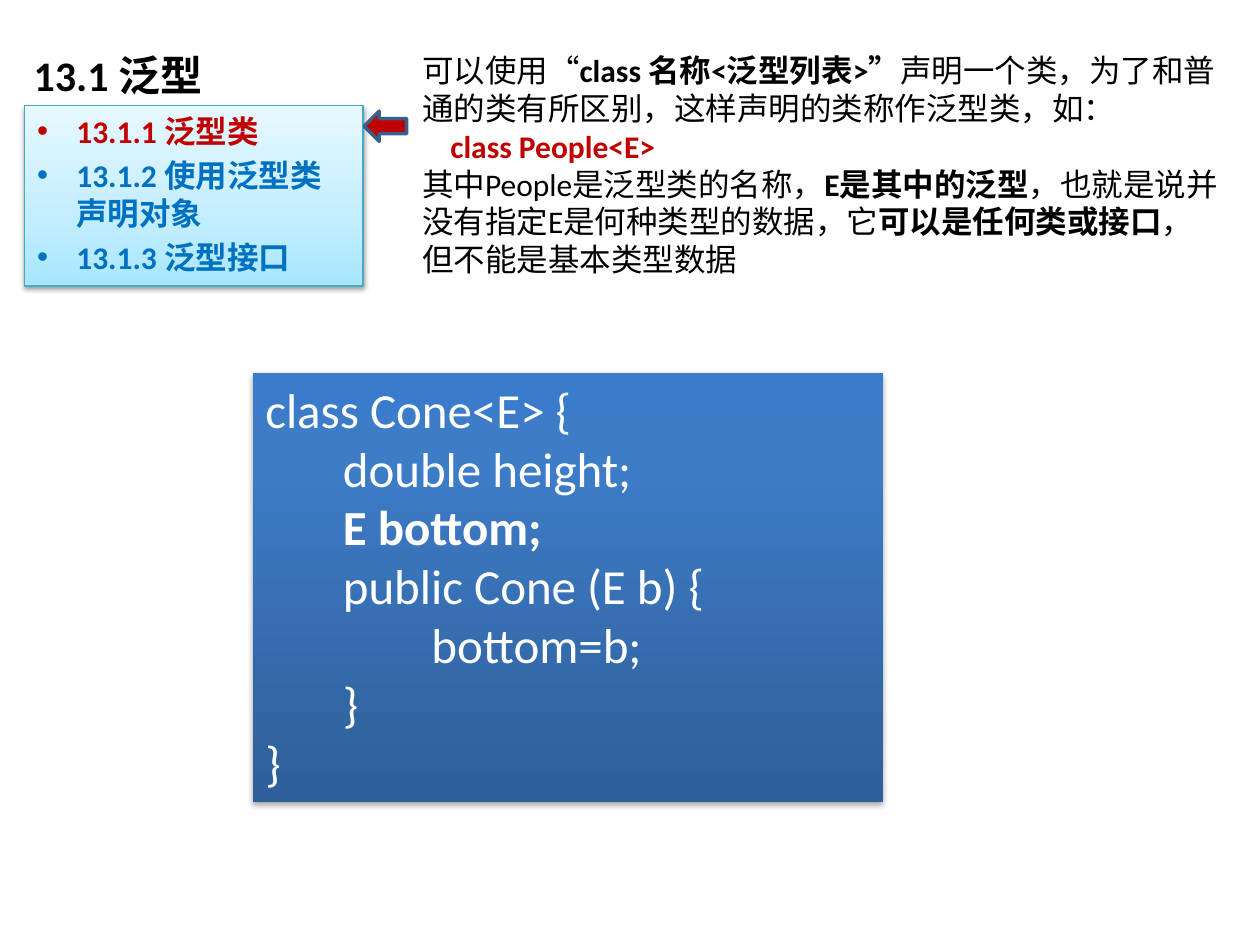
from dataclasses import dataclass
from typing import Optional

from lxml.etree import SubElement
from pptx import Presentation
from pptx.dml.color import RGBColor
from pptx.enum.shapes import MSO_SHAPE as Preset
from pptx.enum.text import MSO_ANCHOR as Anchor, PP_ALIGN as Align
from pptx.oxml.ns import qn
from pptx.util import Cm, Pt

FONT = "Calibri"
BLACK, WHITE, RED, BLUE = "000000", "FFFFFF", "C00000", "0070C0"


@dataclass
class Span:
    text: str
    bold: bool = False
    color: str = BLACK


@dataclass
class Para:
    spans: list[Span]
    indent: float = 0
    bullet: bool = False
    before: float = 0


@dataclass
class Frame:
    left: float
    top: float
    width: float
    height: float


@dataclass
class Shadow:
    alpha: int
    blur: float
    distance: float


def rgb(value: str) -> RGBColor:
    return RGBColor.from_string(value)


def write(shape, paras: list[Para], size: int, anchor=Anchor.TOP) -> None:
    """Fill a shape with paragraphs, run by run."""
    frame = shape.text_frame
    frame.word_wrap = True
    frame.vertical_anchor = anchor
    for index, para in enumerate(paras):
        paragraph = frame.add_paragraph() if index else frame.paragraphs[0]
        paragraph.alignment = Align.LEFT
        if para.before:
            paragraph.space_before = Pt(para.before)
        if para.indent:
            properties = paragraph._p.get_or_add_pPr()
            properties.set("marL", str(Cm(para.indent)))
            if para.bullet:
                properties.set("indent", str(-Cm(para.indent)))
                SubElement(properties, qn("a:buFont"), typeface="Arial")
                SubElement(properties, qn("a:buChar"), char="•")
        for span in para.spans:
            run = paragraph.add_run()
            run.text = span.text
            run.font.name = FONT
            run.font.size = Pt(size)
            run.font.bold = span.bold
            run.font.color.rgb = rgb(span.color)


def add_text(page, at: Frame, paras: list[Para], size: int, anchor=Anchor.TOP) -> None:
    box = page.shapes.add_textbox(Cm(at.left), Cm(at.top), Cm(at.width), Cm(at.height))
    write(box, paras, size, anchor)


def add_preset(page, preset, at: Frame, line: Optional[str] = None, weight: float = 1):
    shape = page.shapes.add_shape(
        preset, Cm(at.left), Cm(at.top), Cm(at.width), Cm(at.height))
    shape.shadow.inherit = False
    if line:
        shape.line.color.rgb = rgb(line)
        shape.line.width = Pt(weight)
    else:
        shape.line.fill.background()
    return shape


def add_gradient(shape, stops: list[tuple[int, str]]) -> None:
    """Upward linear gradient with any number of stops."""
    shape.fill.gradient()
    gradient = shape._element.spPr.find(qn("a:gradFill"))
    stop_list = gradient.find(qn("a:gsLst"))
    stop_list.clear()
    for position, color in stops:
        stop = SubElement(stop_list, qn("a:gs"), pos=str(position * 1000))
        SubElement(stop, qn("a:srgbClr"), val=color)
    shape.fill.gradient_angle = 90


def add_shadow(shape, shadow: Shadow) -> None:
    """Soft shadow straight below the shape."""
    effects = shape._element.spPr.find(qn("a:effectLst"))
    outer = SubElement(
        effects, qn("a:outerShdw"), blurRad=str(Pt(shadow.blur)),
        dist=str(Pt(shadow.distance)), dir="5400000", rotWithShape="0")
    color = SubElement(outer, qn("a:srgbClr"), val=BLACK)
    SubElement(color, qn("a:alpha"), val=str(shadow.alpha * 1000))


def main() -> None:
    deck = Presentation()
    deck.slide_width, deck.slide_height = Cm(25.4), Cm(19.05)
    page = deck.slides.add_slide(deck.slide_layouts[6])

    # Section title
    add_text(page, Frame(0.43, 0.2, 6.32, 1.93),
             [Para([Span("13.1 泛型", True)])], 24, Anchor.BOTTOM)

    # Contents list, current topic in red
    topics = [("13.1.1 泛型类", RED),
              ("13.1.2 使用泛型类声明对象", BLUE),
              ("13.1.3 泛型接口", BLUE)]
    contents = add_preset(page, Preset.RECTANGLE, Frame(0.5, 2.13, 6.82, 3.64),
                          "46AAC5", 0.75)
    add_gradient(contents, [(0, "A7E6FF"), (35, "C1EDFF"), (100, "E7F8FF")])
    add_shadow(contents, Shadow(38, 3.1, 1.6))
    write(contents, [Para([Span(topic, True, color)], 0.79, True, 3.6 if index else 0)
                     for index, (topic, color) in enumerate(topics)], 18)

    # Arrow to the current topic
    arrow = add_preset(page, Preset.LEFT_ARROW, Frame(7.34, 2.24, 0.86, 0.61),
                       "3A5F8C", 2)
    arrow.fill.solid()
    arrow.fill.fore_color.rgb = rgb(RED)

    # Explanation
    add_text(page, Frame(8.26, 0.91, 16.61, 4.88), [
        Para([Span("可以使用“"),
              Span("class 名称<泛型列表>”", True),
              Span("声明一个类，为了和普通的类有所区别，这样声明的类称作泛型类，如：")]),
        Para([Span("class People<E>", True, RED)], 0.57),
        Para([Span("其中People是泛型类的名称，"),
              Span("E是其中的泛型", True),
              Span("，也就是说并没有指定E是何种类型的数据，它"),
              Span("可以是任何类或接口", True),
              Span("，但不能是基本类型数据")]),
    ], 18)

    # Code sample
    code = ["class Cone<E> {",
            "       double height;",
            "       E bottom;",
            "       public Cone (E b) {",
            "               bottom=b;",
            "       }",
            "}"]
    panel = add_preset(page, Preset.RECTANGLE, Frame(5.1, 7.52, 12.7, 8.64))
    add_gradient(panel, [(0, "2F5F99"), (80, "3D7CC7"), (100, "3A7CCB")])
    add_shadow(panel, Shadow(35, 3.1, 1.8))
    write(panel, [Para([Span(line, "E bottom" in line, WHITE)]) for line in code], 28)

    deck.save("out.pptx")


if __name__ == "__main__":
    main()
